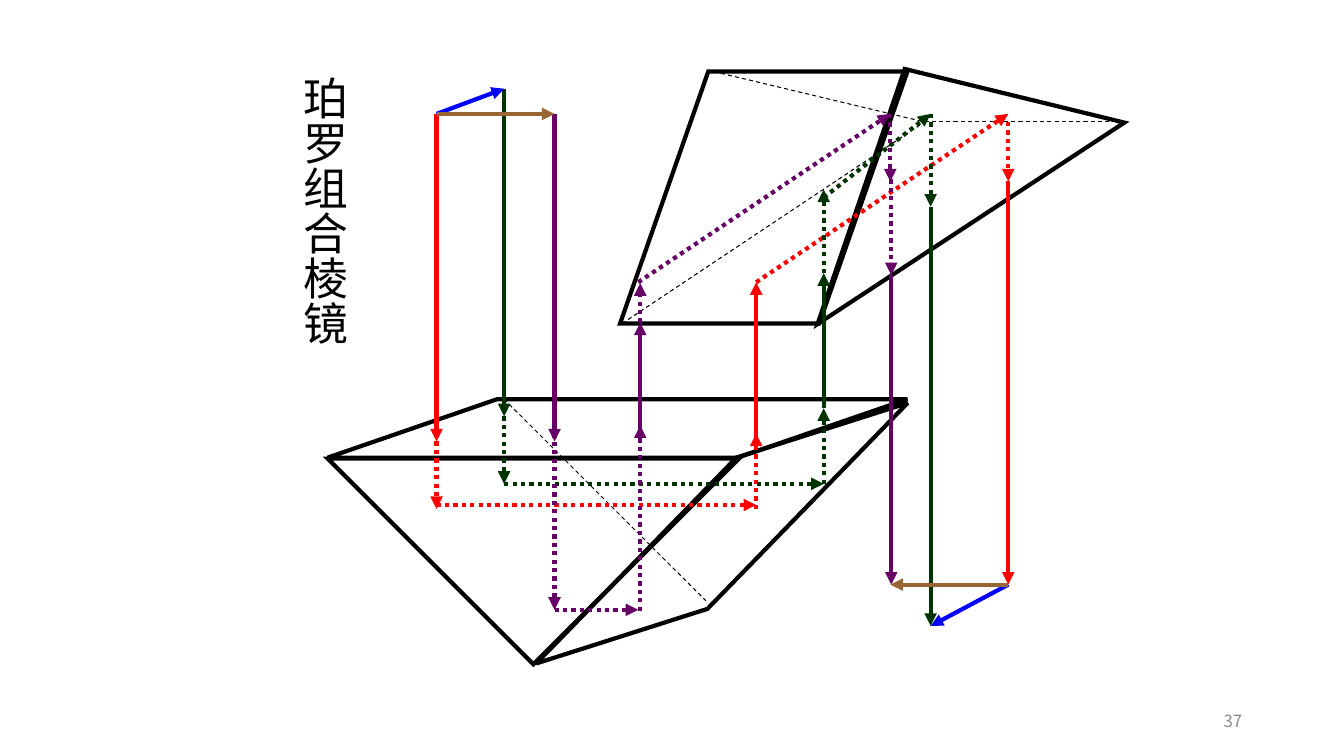
from collections import namedtuple

from lxml.etree import SubElement
from pptx import Presentation
from pptx.dml.color import RGBColor
from pptx.enum.dml import MSO_LINE
from pptx.enum.shapes import MSO_CONNECTOR, MSO_SHAPE
from pptx.enum.text import MSO_ANCHOR, MSO_AUTO_SIZE, PP_ALIGN
from pptx.oxml.ns import qn
from pptx.util import Pt

PX = 9144  # 100 px to the inch
COLOURS = {
    "black": "000000", "red": "FF0000", "green": "003300", "purple": "660066",
    "blue": "0000FF", "brown": "996633", "grey": "8C8C8C",
}
LATIN_FONT = "Times New Roman"
HAN_FONT = "Noto Sans CJK SC"
TRIANGLE, PARALLELOGRAM = MSO_SHAPE.ISOSCELES_TRIANGLE, MSO_SHAPE.PARALLELOGRAM
SOLID, DOTTED, DASHED = None, MSO_LINE.ROUND_DOT, MSO_LINE.DASH

Box = namedtuple("Box", "left top width height")
Face = namedtuple("Face", "kind left top width height adjust turn flip",
                  defaults=(0, False))

# Prism faces and hidden edges, measured from each prism's corner
LOWER_FACES = [
    Face(PARALLELOGRAM, 0, 0, 575, 58, 2.9),
    Face(PARALLELOGRAM, 170, 91, 442, 84, 1.87, 134.2, True),
    Face(TRIANGLE, 0, 59, 408, 204, 0.5, 180),
]
LOWER_EDGES = [(175, 0, 375, 200)]
UPPER_FACES = [
    Face(TRIANGLE, 121, 0, 364, 164, 0.58, 326.7),
    Face(PARALLELOGRAM, 0, 0, 285, 250, 0.35),
]
UPPER_EDGES = [(302, 50, 493, 50), (2, 250, 302, 50), (93, 0, 302, 50)]

# Ray segments in the order the light travels
RAYS = {
    "red": [
        (0, 25, 0, 350, SOLID), (0, 350, 0, 417, DOTTED),
        (0, 413, 317, 413, DOTTED), (317, 417, 317, 342, DOTTED),
        (317, 350, 317, 192, SOLID), (317, 192, 567, 25, DOTTED),
        (567, 33, 567, 92, DOTTED), (567, 92, 567, 492, SOLID),
    ],
    "green": [
        (67, 0, 67, 325, SOLID), (67, 325, 67, 392, DOTTED),
        (67, 392, 384, 392, DOTTED), (384, 392, 384, 317, DOTTED),
        (384, 317, 384, 183, SOLID), (384, 183, 384, 100, DOTTED),
        (384, 108, 490, 25, DOTTED), (490, 25, 490, 117, DOTTED),
        (490, 117, 490, 533, SOLID),
    ],
    "purple": [
        (117, 25, 117, 350, SOLID), (117, 342, 117, 517, DOTTED),
        (117, 517, 200, 517, DOTTED), (202, 518, 202, 334, DOTTED),
        (202, 342, 202, 232, SOLID), (202, 232, 202, 193, DOTTED),
        (200, 192, 450, 25, DOTTED), (450, 25, 450, 92, DOTTED),
        (451, 90, 451, 185, DOTTED), (451, 185, 451, 492, SOLID),
    ],
    # Arrows of the object and of its image
    "blue": [(0, 25, 67, 0, SOLID), (567, 492, 490, 533, SOLID)],
    "brown": [(0, 25, 117, 25, SOLID), (567, 492, 450, 492, SOLID)],
}


def colour(name):
    return RGBColor.from_string(COLOURS[name])


def place(shape, box):
    shape.left, shape.top, shape.width, shape.height = (n * PX for n in box)


def add_line(page, box, ends, name, weight, dash=SOLID, arrow=False):
    x1, y1, x2, y2 = ends
    line = page.shapes.add_connector(
        MSO_CONNECTOR.STRAIGHT,
        (box.left + x1) * PX, (box.top + y1) * PX,
        (box.left + x2) * PX, (box.top + y2) * PX)
    line.line.color.rgb = colour(name)
    line.line.width = Pt(weight)
    if dash is not SOLID:
        line.line.dash_style = dash
    if arrow:
        SubElement(line.line._get_or_add_ln(), qn("a:tailEnd"), type="triangle")
    SubElement(line._element.spPr, qn("a:effectLst"))


def add_prism(page, box, faces, hidden_edges):
    for face in faces:
        shape = page.shapes.add_shape(face.kind, 0, 0, PX, PX)
        place(shape, (box.left + face.left, box.top + face.top,
                      face.width, face.height))
        shape.adjustments[0] = face.adjust
        shape.rotation = face.turn
        if face.flip:
            shape._element.spPr.find(qn("a:xfrm")).set("flipV", "1")
        shape.shadow.inherit = False
        shape.fill.background()
        shape.line.color.rgb = colour("black")
        shape.line.width = Pt(3)
        SubElement(shape.line._get_or_add_ln(), qn("a:miter"), lim="800000")
    for edge in hidden_edges:
        add_line(page, box, edge, "black", 0.75, DASHED)


def add_rays(page, box):
    for name, segments in RAYS.items():
        for *ends, dash in segments:
            add_line(page, box, ends, name, 3, dash, arrow=True)


def add_span(para, text, size, font, name):
    span = para.add_run()
    span.text = text
    span.font.size = Pt(size)
    span.font.name = font
    span.font.color.rgb = colour(name)
    SubElement(span.font._element, qn("a:ea"), typeface=HAN_FONT)


def add_title(page, box):
    title = page.shapes.title
    place(title, box)
    frame = title.text_frame
    frame.auto_size = MSO_AUTO_SIZE.NONE
    frame.vertical_anchor = MSO_ANCHOR.TOP
    frame.word_wrap = True
    frame._txBody.bodyPr.set("vert", "eaVert")
    para = frame.paragraphs[0]
    para.alignment = PP_ALIGN.LEFT
    add_span(para, "珀罗组合棱镜", 32, LATIN_FONT, "black")


def add_page_number(page, box):
    frame = page.shapes.add_textbox(*(n * PX for n in box)).text_frame
    frame.word_wrap = True
    frame.vertical_anchor = MSO_ANCHOR.MIDDLE
    para = frame.paragraphs[0]
    para.alignment = PP_ALIGN.RIGHT
    add_span(para, "37", 12, HAN_FONT, "grey")


def main():
    deck = Presentation()
    deck.slide_width, deck.slide_height = 1333 * PX, 750 * PX
    page = deck.slides.add_slide(deck.slide_layouts[5])
    add_title(page, Box(284, 71, 74, 325))
    add_prism(page, Box(325, 396, 575, 263), LOWER_FACES, LOWER_EDGES)
    add_prism(page, Box(615, 71, 493, 250), UPPER_FACES, UPPER_EDGES)
    add_rays(page, Box(433, 88, 567, 533))
    add_page_number(page, Box(942, 695, 300, 40))
    deck.save("out.pptx")


if __name__ == "__main__":
    main()
